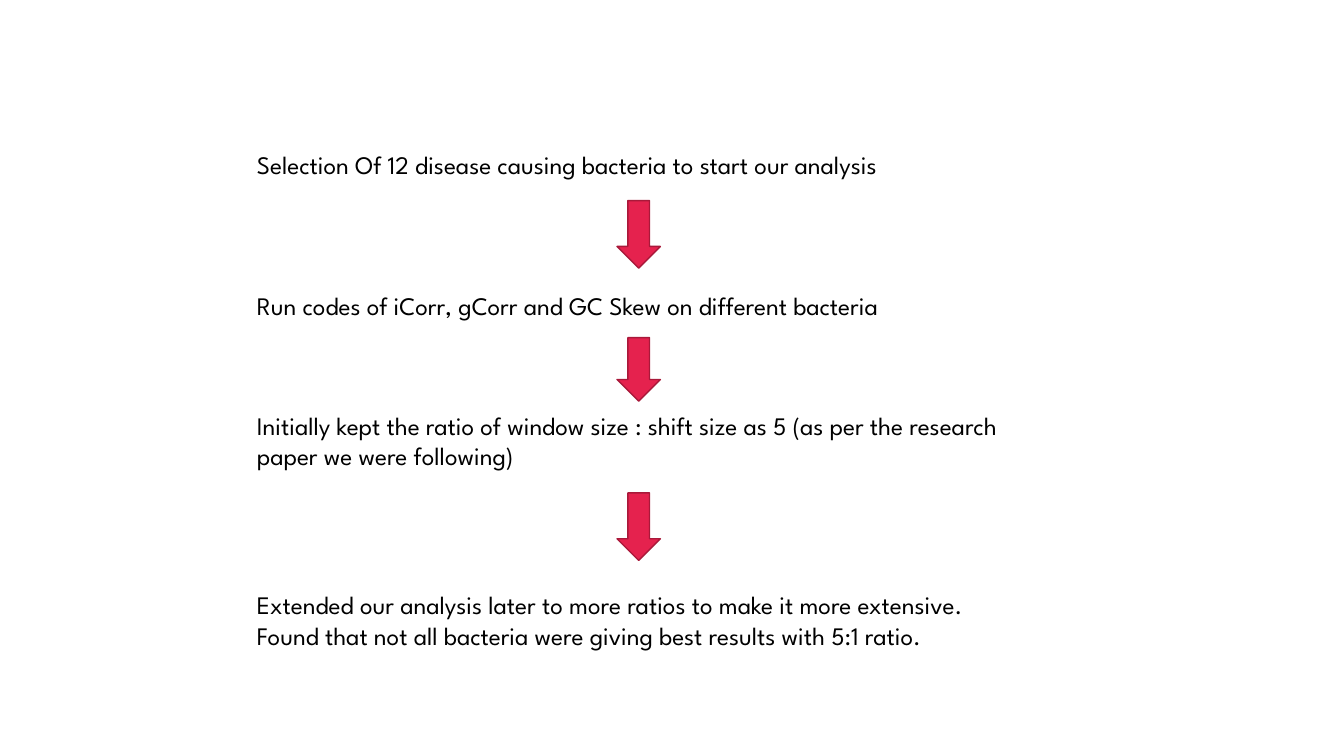
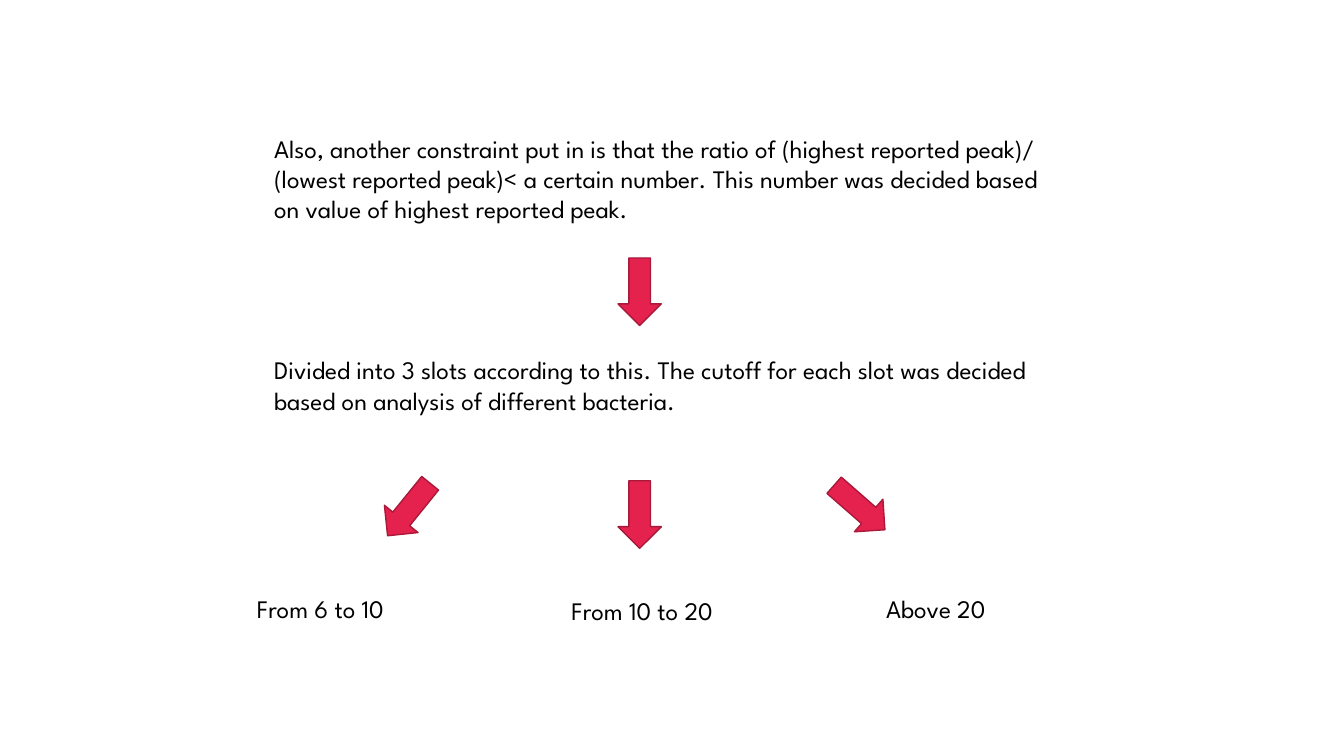
from pptx import Presentation
from pptx.dml.color import RGBColor
from pptx.enum.shapes import MSO_SHAPE
from pptx.enum.text import MSO_ANCHOR, MSO_AUTO_SIZE
from pptx.util import Inches, Pt

DOWN = MSO_SHAPE.DOWN_ARROW
TOP = MSO_ANCHOR.TOP
GROW = MSO_AUTO_SIZE.SHAPE_TO_FIT_TEXT

HUES = {"paper": "FFFFFF", "ink": "000000", "arrow": "E5224E", "edge": "A9193A"}
FONT = "League Spartan"
BLANK = 6
WIDE = 7.78
SLOT = 2.46


def hue(name):
    return RGBColor.from_string(HUES[name])


def write(frame, text, size=18, color="ink", font=FONT):
    run = frame.paragraphs[0].add_run()
    run.text = text
    run.font.size = Pt(size)
    run.font.name = font
    run.font.color.rgb = hue(color)


class Deck:
    def __init__(self):
        self.show = Presentation()
        self.show.slide_width = Inches(13.33)
        self.show.slide_height = Inches(7.5)
        paint = self.show.slide_master.background.fill
        paint.solid()
        paint.fore_color.rgb = hue("paper")
        self.slide = None

    def page(self):
        self.slide = self.show.slides.add_slide(self.show.slide_layouts[BLANK])

    def note(self, text, left, top, width=WIDE, height=0.4):
        box = self.slide.shapes.add_textbox(
            Inches(left), Inches(top), Inches(width), Inches(height))
        frame = box.text_frame
        frame.word_wrap = True
        frame.auto_size = GROW
        frame.vertical_anchor = TOP
        write(frame, text)

    def arrow(self, left, top, height=0.67, turn=0):
        shape = self.slide.shapes.add_shape(
            DOWN, Inches(left), Inches(top), Inches(0.43), Inches(height))
        shape.shadow.inherit = False
        shape.rotation = turn
        shape.fill.solid()
        shape.fill.fore_color.rgb = hue("arrow")
        shape.line.color.rgb = hue("edge")
        shape.line.width = Pt(1)

    def save(self):
        self.show.save("out.pptx")


def steps(deck):
    deck.page()
    for text, top, height in (
        ("Selection Of 12 disease causing bacteria to start our analysis", 1.43, 0.4),
        ("Run codes of iCorr, gCorr and GC Skew on different bacteria", 2.83, 0.4),
        ("Initially kept the ratio of window size : shift size as 5 "
         "(as per the research paper we were following)", 4.02, 0.71),
        ("Extended our analysis later to more ratios to make it more extensive. "
         "Found that not all bacteria were giving best results with 5:1 ratio.",
         5.8, 1.01),
    ):
        deck.note(text, 2.45, top, height=height)
    for top, height in ((1.99, 0.67), (3.35, 0.63), (4.89, 0.67)):
        deck.arrow(6.12, top, height)


def slots(deck):
    deck.page()
    deck.note("Also, another constraint put in is that the ratio of "
              "(highest reported peak)/ (lowest reported peak)< a certain number. "
              "This number was decided based on value of highest reported peak.",
              2.62, 1.27, height=1.31)
    deck.arrow(6.13, 2.56)
    deck.note("Divided into 3 slots according to this. The cutoff for each slot "
              "was decided based on analysis of different bacteria.",
              2.62, 3.47, height=0.71)
    for col, (text, top, left, tip, turn) in enumerate((
        ("From 6 to 10", 5.84, 3.84, 4.72, 39),
        ("From 10 to 20", 5.86, 6.13, 4.77, 0),
        ("Above 20", 5.84, 8.31, 4.7, 311.2),
    )):
        deck.arrow(left, tip, turn=turn)
        deck.note(text, 2.45 + 3.12 * col, top, SLOT)


def main():
    deck = Deck()
    steps(deck)
    slots(deck)
    deck.save()


if __name__ == "__main__":
    main()
